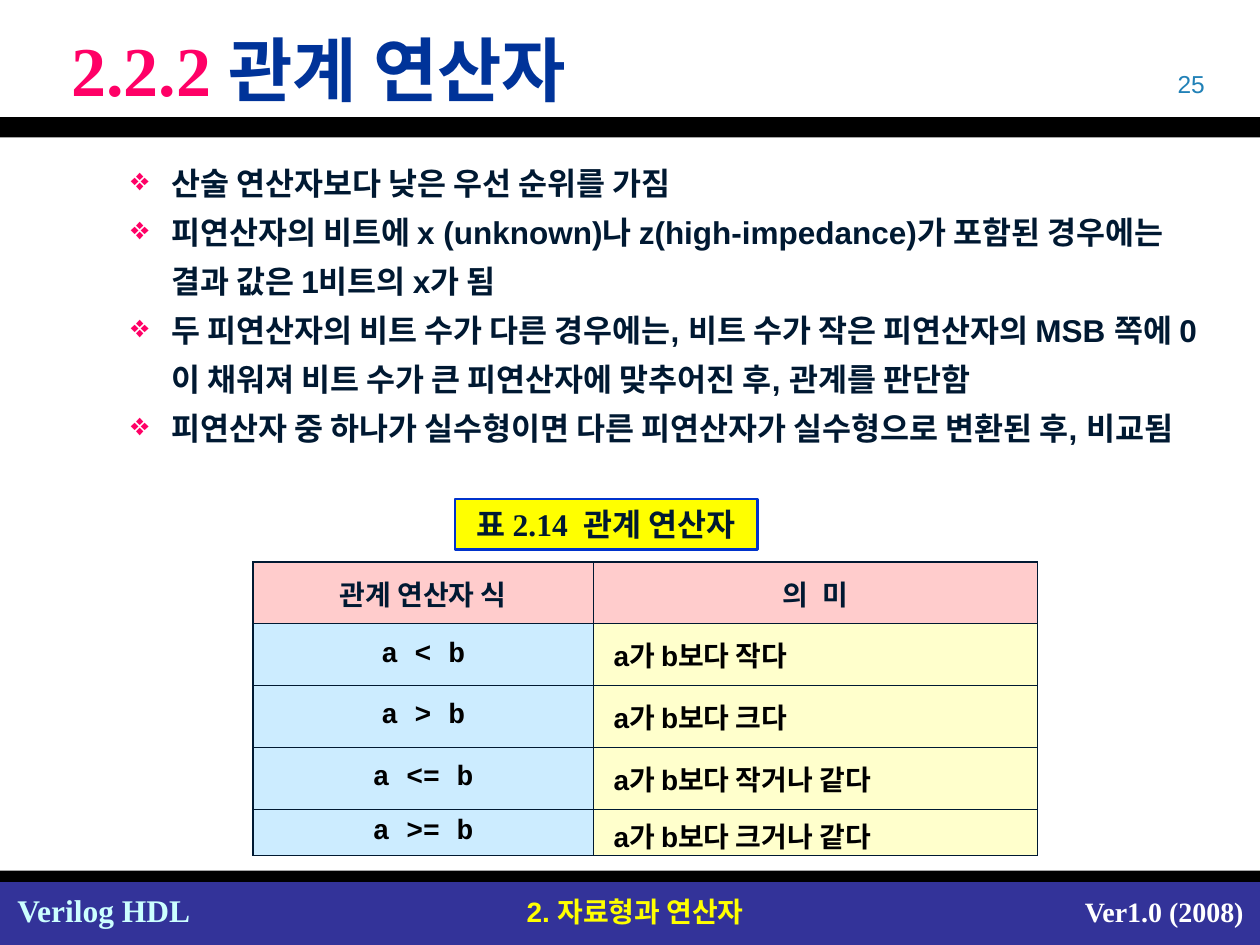
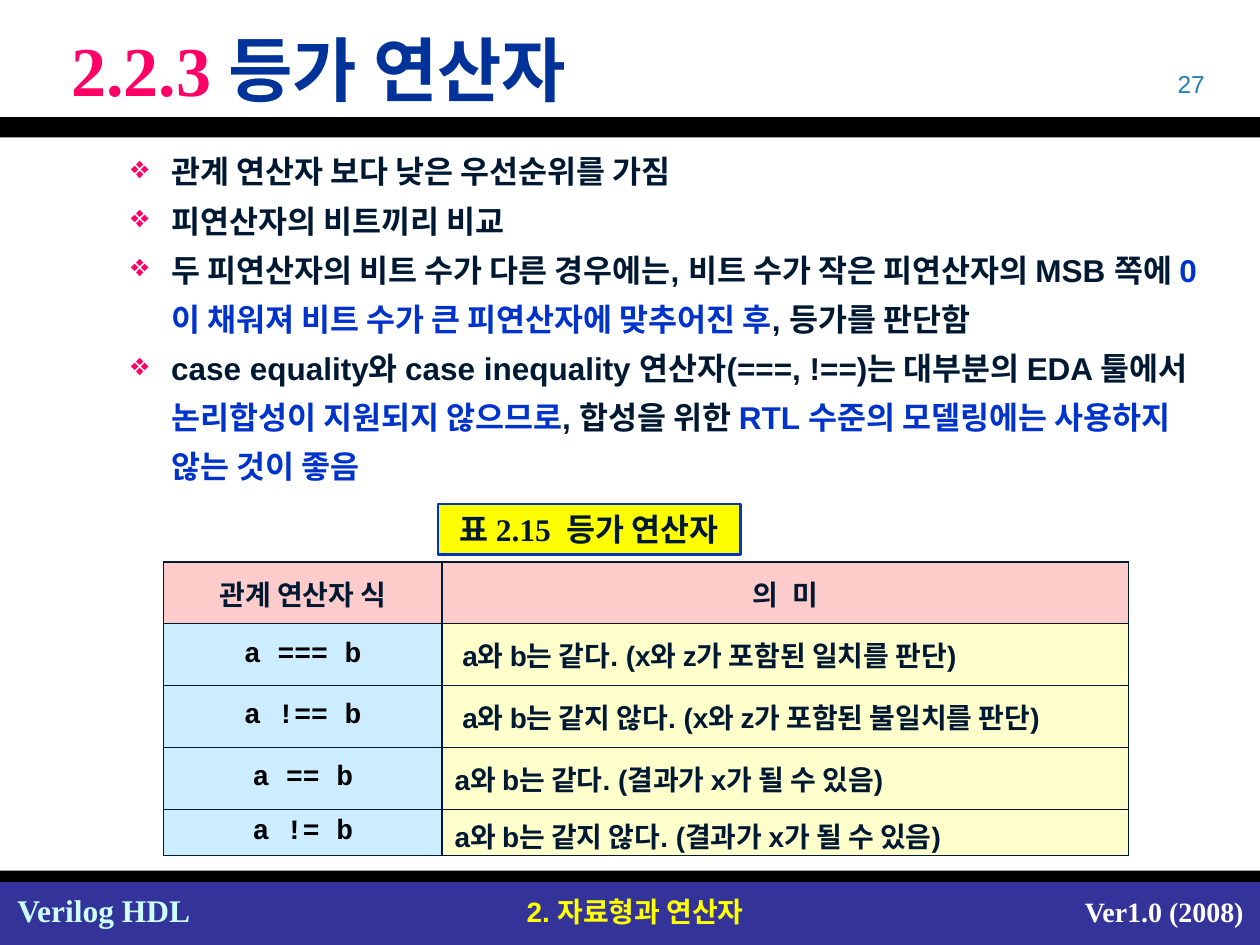
from lxml import etree
from pptx import Presentation
from pptx import util as u
from pptx.dml.color import RGBColor
from pptx.enum import shapes, text
from pptx.oxml import ns

COLORS = {
    "ink": "001932", "black": "000000", "white": "FFFFFF", "pink": "FF0066",
    "title": "003399", "blue": "0033CC", "page": "2181B7", "footer": "333399",
    "yellow": "FFFF00", "ice": "CCFFFF", "head_row": "FFCCCC",
    "expr_col": "CCECFF", "meaning_col": "FFFFCC",
}
SANS, SERIF, MONO = "Arial", "Times New Roman", "Courier New"
LEFT, CENTER, RIGHT = text.PP_ALIGN.LEFT, text.PP_ALIGN.CENTER, text.PP_ALIGN.RIGHT
ROW_HEIGHTS = [1.245] * 4 + [0.94]
WIDE_SPACE = (" ", {"spacing": 4.5})


def rgb(name):
    return RGBColor.from_string(COLORS[name])


def add_xml(parent, tag, **attrs):
    return etree.SubElement(parent, ns.qn(tag), attrs)


def put_text(tf, paragraphs, size=18, font=SANS, color="ink", bold=True, align=LEFT,
             indent=0, bullet=None, line_spacing=None):
    """Fill a frame; a paragraph is a string or a list of (text, run overrides)."""
    for i, runs in enumerate(paragraphs):
        p = tf.paragraphs[0] if i == 0 else tf.add_paragraph()
        pPr = p._p.get_or_add_pPr()
        if indent:
            pPr.set("marL", str(u.Cm(indent)))
        if bullet:
            pPr.set("indent", str(u.Cm(-0.81)))
            add_xml(add_xml(pPr, "a:buClr"), "a:srgbClr", val=COLORS["pink"])
            add_xml(pPr, "a:buChar", char=bullet)
        p.alignment = align
        if line_spacing:
            p.line_spacing = line_spacing
        for words, own in [(runs, {})] if isinstance(runs, str) else runs:
            r = p.add_run()
            r.text = words
            r.font.size, r.font.bold = u.Pt(size), bold
            r.font.name = font
            r.font.color.rgb = rgb(own.get("color", color))
            if "spacing" in own:
                r.font._element.set("spc", str(int(own["spacing"] * 100)))


class Deck:
    def __init__(self):
        self.prs = Presentation()
        self.prs.slide_width, self.prs.slide_height = u.Cm(25.4), u.Cm(19.05)
        self.s = None

    def slide(self, number, name, page):
        self.s = self.prs.slides.add_slide(self.prs.slide_layouts[6])
        self.box(0, 17.78, 25.4, 1.27, "footer")
        self.box(0, 2.36, 25.4, 0.41, "black")
        self.box(0, 17.55, 25.4, 0.23, "black")
        self.text(9.91, 17.91, 5.79, 0.94, ["2. 자료형과 연산자"], size=16,
                  color="yellow", align=CENTER)
        self.text(21.31, 17.91, 4.01, 0.94, ["Ver1.0 (2008)"], size=16,
                  font=SERIF, color="white", align=RIGHT)
        self.text(0.1, 17.83, 4.01, 1.02, ["Verilog HDL"], font=SERIF, color="ice")
        self.text(18.62, 1.27, 5.92, 0.84, [page], size=14, color="page",
                  bold=False, align=RIGHT)
        title = [(number + " ", {"color": "pink"}), (name, {})]
        self.text(0.43, 0.33, 24.56, 2.11, [title], anchor=text.MSO_ANCHOR.MIDDLE,
                  size=40, font=SERIF, color="title", indent=0.76)

    def box(self, x, y, w, h, fill, line=None):
        sp = self.s.shapes.add_shape(shapes.MSO_SHAPE.RECTANGLE,
                                     u.Cm(x), u.Cm(y), u.Cm(w), u.Cm(h))
        sp.shadow.inherit = False
        sp.fill.solid()
        sp.fill.fore_color.rgb = rgb(fill)
        if line:
            sp.line.color.rgb, sp.line.width = rgb(line), u.Pt(1.5)
        else:
            sp.line.fill.background()
        return sp

    def text(self, x, y, w, h, paragraphs, anchor=text.MSO_ANCHOR.TOP, **fmt):
        sp = self.s.shapes.add_textbox(u.Cm(x), u.Cm(y), u.Cm(w), u.Cm(h))
        sp.text_frame.word_wrap = True
        sp.text_frame.vertical_anchor = anchor
        put_text(sp.text_frame, paragraphs, **fmt)

    def bullets(self, y, h, items):
        self.text(1.07, y, 23.5, h, items, indent=2.13, bullet="❖", line_spacing=1.3)

    def caption(self, x, y, number, name):
        tf = self.box(x, y, 6.1, 1.02, "yellow", "blue").text_frame
        tf.word_wrap = False
        tf.vertical_anchor = text.MSO_ANCHOR.TOP
        put_text(tf, [[("표 " + number, {}), WIDE_SPACE, (name, {})]],
                 font=SERIF, align=CENTER)

    def table(self, x, widths, rows, ink, indented):
        """Operator table; the first `indented` meanings are set in a little."""
        frame = self.s.shapes.add_table(len(rows) + 1, 2, u.Cm(x), u.Cm(11.33),
                                        u.Cm(sum(widths)), u.Cm(sum(ROW_HEIGHTS)))
        tbl = frame.table
        for col, width in zip(tbl.columns, widths):
            col.width = u.Cm(width)
        for row, height in zip(tbl.rows, ROW_HEIGHTS):
            row.height = u.Cm(height)
        heads = ["관계 연산자 식", [("의", {}), WIDE_SPACE, ("미", {})]]
        for cell, head in zip(tbl.rows[0].cells, heads):
            self.cell(cell, head, "head_row", align=CENTER)
        for i, (expr, meaning) in enumerate(rows, 1):
            self.cell(tbl.cell(i, 0), expr, "expr_col", font=MONO, color="black",
                      align=CENTER)
            self.cell(tbl.cell(i, 1), meaning, "meaning_col", color=ink)
            if i <= indented:
                tbl.cell(i, 1).margin_left = u.Cm(0.41)

    def cell(self, cell, words, fill, **fmt):
        tcPr = cell._tc.get_or_add_tcPr()
        for side in "LRTB":
            ln = add_xml(tcPr, "a:ln" + side, w=str(u.Pt(0.75)))
            add_xml(add_xml(ln, "a:solidFill"), "a:srgbClr", val=COLORS["ink"])
        cell.fill.solid()
        cell.fill.fore_color.rgb = rgb(fill)
        cell.vertical_anchor = text.MSO_ANCHOR.MIDDLE
        put_text(cell.text_frame, [words], size=16, **fmt)


def relational_slide(deck):
    deck.slide("2.2.2", "관계 연산자", "25")
    deck.bullets(2.95, 8.28, [
        "산술 연산자보다 낮은 우선 순위를 가짐",
        "피연산자의 비트에 x (unknown)나 z(high-impedance)가 포함된 경우에는 "
        "결과 값은 1비트의 x가 됨",
        "두 피연산자의 비트 수가 다른 경우에는, 비트 수가 작은 피연산자의 MSB 쪽에 "
        "0이 채워져 비트 수가 큰 피연산자에 맞추어진 후, 관계를 판단함",
        "피연산자 중 하나가 실수형이면 다른 피연산자가 실수형으로 변환된 후, 비교됨",
    ])
    deck.table(5.1, [6.86, 8.96], [
        ("a < b", "a가 b보다 작다"),
        ("a > b", "a가 b보다 크다"),
        ("a <= b", "a가 b보다 작거나 같다"),
        ("a >= b", "a가 b보다 크거나 같다"),
    ], ink="black", indented=4)
    deck.caption(9.17, 10.06, "2.14", "관계 연산자")


def equality_slide(deck):
    blue = {"color": "blue"}
    deck.slide("2.2.3", "등가 연산자", "27")
    deck.bullets(2.72, 7.57, [
        "관계 연산자 보다 낮은 우선순위를 가짐",
        "피연산자의 비트끼리 비교",
        [("두 피연산자의 비트 수가 다른 경우에는, 비트 수가 작은 피연산자의 MSB 쪽에 ", {}),
         ("0이 채워져 비트 수가 큰 피연산자에 맞추어진 후", blue),
         (", 등가를 판단함", {})],
        [("case equality와 case inequality 연산자(===, !==)는 대부분의 EDA 툴에서 ", {}),
         ("논리합성이 지원되지 않으므로", blue),
         (", 합성을 위한 ", {}),
         ("RTL 수준의 모델링에는 사용하지 않는 것이 좋음", blue)],
    ])
    deck.table(3.3, [5.61, 13.84], [
        ("a === b", "a와 b는 같다. (x와 z가 포함된 일치를 판단)"),
        ("a !== b", "a와 b는 같지 않다. (x와 z가 포함된 불일치를 판단)"),
        ("a == b", "a와 b는 같다. (결과가 x가 될 수 있음)"),
        ("a != b", "a와 b는 같지 않다. (결과가 x가 될 수 있음)"),
    ], ink="ink", indented=2)
    deck.caption(8.83, 10.16, "2.15", "등가 연산자")


def main():
    deck = Deck()
    relational_slide(deck)
    equality_slide(deck)
    deck.prs.save("out.pptx")


if __name__ == "__main__":
    main()
